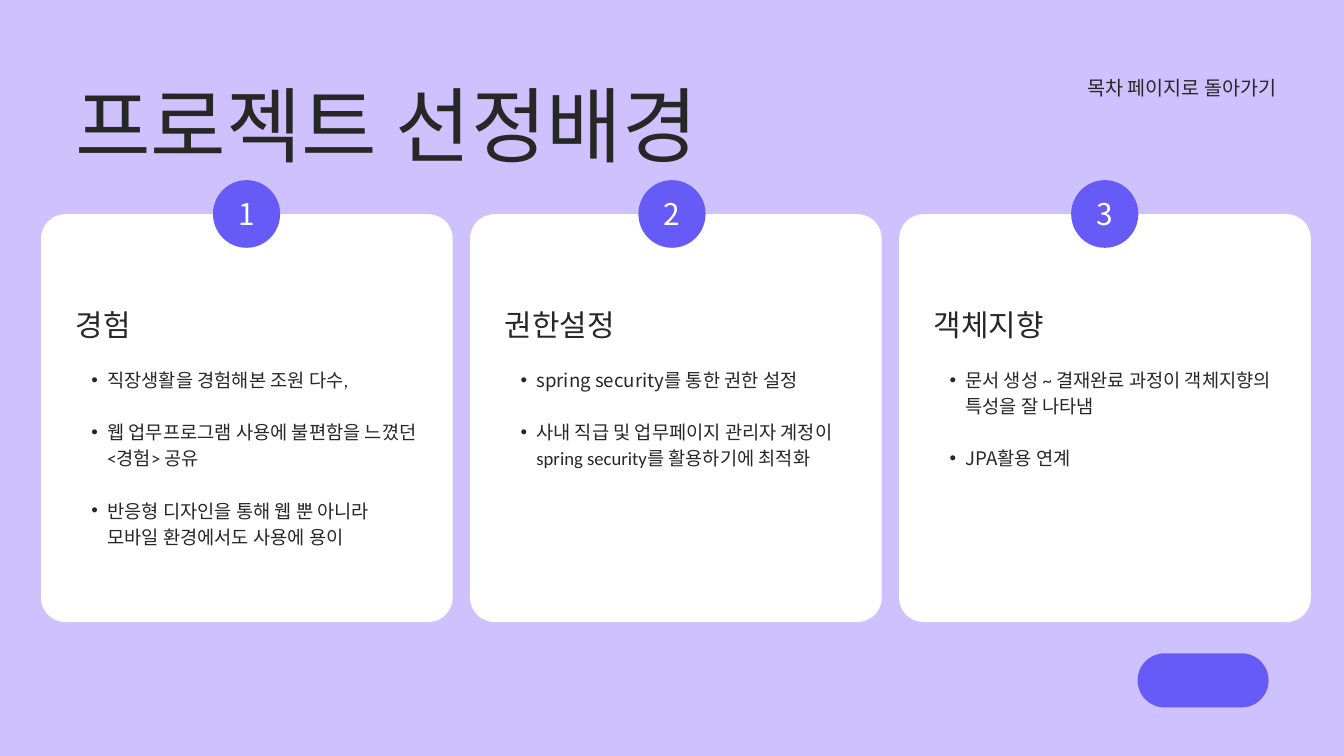
"""Build the project background slide with three numbered cards."""
import pptx
import pptx.util
import pptx.dml.color
import pptx.enum.shapes
import pptx.enum.text
import pptx.oxml
import pptx.oxml.ns
import lxml.etree

Pt = pptx.util.Pt
SHAPE = pptx.enum.shapes.MSO_SHAPE
ALIGN = pptx.enum.text.PP_ALIGN
ANCHOR = pptx.enum.text.MSO_ANCHOR
NOTO, CALIBRI = "Noto Sans CJK KR", "Calibri"
INK, VIOLET, WHITE, LILAC = "272727", "675BF8", "FFFFFF", "CDC2FE"
FRAME = {"margin_left": 0, "margin_top": 0, "margin_right": 0, "margin_bottom": 0,
         "word_wrap": True, "auto_size": pptx.enum.text.MSO_AUTO_SIZE.NONE}


def paint(fill, color):
    fill.solid()
    fill.fore_color.rgb = pptx.dml.color.RGBColor.from_string(color)


def write(sp, p, runs, size, spacing, color=INK, align=ALIGN.LEFT, anchor=ANCHOR.TOP):
    for name, value in {**FRAME, "vertical_anchor": anchor}.items():
        setattr(sp.text_frame, name, value)
    for name, value in {"alignment": align, "line_spacing": Pt(spacing)}.items():
        setattr(p, name, value)
    for text, font in runs:
        for i, line in enumerate(text.split("\n")):
            if i:
                p.add_line_break()
            r = p.add_run()
            r.text = line
            for name, value in {"size": Pt(size), "name": font, "bold": False}.items():
                setattr(r.font, name, value)
            paint(r.font.fill, color)
            ea = lxml.etree.SubElement(r.font._element, pptx.oxml.ns.qn("a:ea"))
            ea.set("typeface", NOTO)


cards = [
    (228.2, "경험", [
        [("직장생활을 경험해본 조원 다수,", CALIBRI)],
        [("웹 업무프로그램 사용에 불편함을 느꼈던<경험> 공유", CALIBRI)],
        [("반응형 디자인을 통해 웹 뿐 아니라\n모바일 환경에서도 사용에 용이", CALIBRI)]]),
    (684, "권한설정", [
        [("spring security를 통한 ", NOTO), ("권한 설정", CALIBRI)],
        [("사내 직급 및 업무페이지 관리자 계정이 spring security를 활용하기에 최적화", CALIBRI)]]),
    (1147.7, "객체지향", [
        [("문서 생성 ~ 결재완료 과정이 객체지향의 특성을 잘 나타냄", CALIBRI)],
        [("JPA활용 연계", NOTO)]]),
]

prs = pptx.Presentation()
prs.slide_width, prs.slide_height = Pt(1440), Pt(810)
s = prs.slides.add_slide(prs.slide_layouts[5])
paint(s.background.fill, LILAC)

title = s.shapes.title
for name, value in {"left": 80.6, "top": 80, "width": 840, "height": 106}.items():
    setattr(title, name, Pt(value))
write(title, title.text_frame.paragraphs[0], [("프로젝트 선정배경", CALIBRI)], 88, 105.6)

sp = s.shapes.add_textbox(Pt(1120.3), Pt(77), Pt(247), Pt(29))
write(sp, sp.text_frame.paragraphs[0], [("목차", CALIBRI), (" 페이지로 돌아가기", NOTO)],
      21, 29.4, align=ALIGN.RIGHT)

for i, (badge_left, heading, bullets) in enumerate(cards):
    left = 44 + 459.7 * i
    card = s.shapes.add_shape(SHAPE.ROUNDED_RECTANGLE, Pt(left), Pt(229.5), Pt(441), Pt(437))
    card.adjustments[0] = 0.06
    badge = s.shapes.add_shape(SHAPE.OVAL, Pt(badge_left), Pt(193), Pt(72), Pt(72.5))
    for sp, color in ((card, WHITE), (badge, VIOLET)):
        paint(sp.fill, color)
        sp.line.fill.background()
        sp.shadow.inherit = False
    write(badge, badge.text_frame.paragraphs[0], [(str(i + 1), NOTO)], 32, 38.4,
          WHITE, ALIGN.CENTER, ANCHOR.MIDDLE)

    sp = s.shapes.add_textbox(Pt(left + 37), Pt(328.5), Pt(366.5), Pt(39))
    write(sp, sp.text_frame.paragraphs[0], [(heading, CALIBRI)], 32, 38.4)

    sp = s.shapes.add_textbox(Pt(left + 37), Pt(391), Pt(366.5), Pt(200))
    tf = sp.text_frame
    for j, runs in enumerate(bullets):
        p = tf.add_paragraph() if j else tf.paragraphs[0]
        pPr = p._p.get_or_add_pPr()
        pPr.set("marL", str(Pt(34)))
        pPr.set("indent", str(Pt(-17)))
        for tag, key, value in (("a:buFont", "typeface", "Arial"), ("a:buChar", "char", "•")):
            lxml.etree.SubElement(pPr, pptx.oxml.ns.qn(tag)).set(key, value)
        if j:
            p.space_before = Pt(28)
        write(sp, p, runs, 20, 28)

pill = s.shapes.add_shape(SHAPE.ROUNDED_RECTANGLE, Pt(1218.8), Pt(700), Pt(140.4), Pt(58))
pill.adjustments[0] = 0.5
paint(pill.fill, VIOLET)
pill.line.fill.background()
pill.shadow.inherit = False

prs.save("out.pptx")
